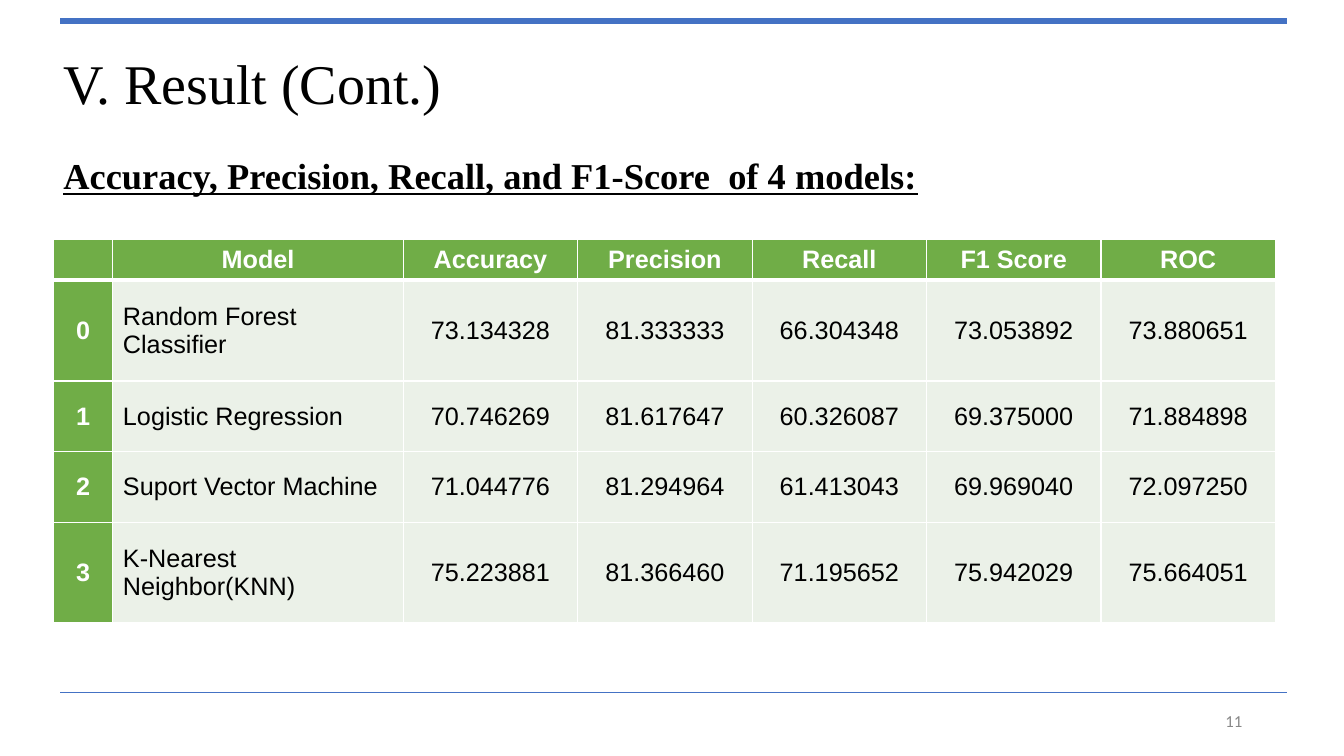
from dataclasses import dataclass

from lxml import etree
from pptx import Presentation
from pptx.dml.color import RGBColor
from pptx.enum.text import MSO_ANCHOR, PP_ALIGN
from pptx.oxml.ns import qn
from pptx.util import Inches, Pt

LEFT, MID, RIGHT = PP_ALIGN.LEFT, PP_ALIGN.CENTER, PP_ALIGN.RIGHT
TOP, CENTER, BOTTOM = MSO_ANCHOR.TOP, MSO_ANCHOR.MIDDLE, MSO_ANCHOR.BOTTOM


@dataclass(frozen=True)
class Theme:
    rule: str = "4472C4"
    head: str = "70AD47"
    body: str = "EBF1E8"
    ink: str = "000000"
    white: str = "FFFFFF"
    gray: str = "888888"
    serif: str = "Times New Roman"
    sans: str = "Arial"
    small: str = "Calibri"
    title: int = 40
    lead: int = 26
    cell: int = 18
    note: int = 12


THEME = Theme()

HEADS = ["", "Model", "Accuracy", "Precision", "Recall", "F1 Score", "ROC"]
MODELS = [
    ("Random Forest Classifier", 73.134328, 81.333333, 66.304348, 73.053892, 73.880651),
    ("Logistic Regression", 70.746269, 81.617647, 60.326087, 69.375, 71.884898),
    ("Suport Vector Machine", 71.044776, 81.294964, 61.413043, 69.96904, 72.09725),
    ("K-Nearest Neighbor(KNN)", 75.223881, 81.36646, 71.195652, 75.942029, 75.664051),
]
WIDTHS = [0.59, 2.88] + [1.73] * 5
HEIGHTS = [0.4, 1, 0.7, 0.7, 1]


def write(frame, text, color, align=LEFT, space=None, **form):
    """Fill a text frame with one formatted paragraph."""
    para = frame.paragraphs[0]
    para.alignment = align
    if space:
        para.line_spacing = space
    run = para.add_run()
    run.text = text
    run.font.color.rgb = RGBColor.from_string(color)
    for key, value in form.items():
        setattr(run.font, key, value)


def add_text(slide, box, text, color, anchor=TOP, **form):
    frame = slide.shapes.add_textbox(*map(Inches, box)).text_frame
    frame.word_wrap = True
    frame.vertical_anchor = anchor
    write(frame, text, color, **form)


def add_rules(slide, box):
    """Draw a thick rule on the top of the box and a thin one on its foot."""
    left, top, width, height = box
    for y, weight in ((top, 4.5), (top + height, 0.75)):
        ends = map(Inches, (left, y, left + width, y))
        line = slide.shapes.add_connector(1, *ends)
        line.line.color.rgb = RGBColor.from_string(THEME.rule)
        line.line.width = Pt(weight)
        etree.SubElement(line._element.spPr, qn("a:effectLst"))


def add_edges(cell, weights):
    """Give a cell white borders; weights are points by side."""
    props = cell._tc.get_or_add_tcPr()
    for side, weight in weights.items():
        edge = etree.SubElement(props, qn("a:ln" + side), w=str(Pt(weight)))
        fill = etree.SubElement(edge, qn("a:solidFill"))
        etree.SubElement(fill, qn("a:srgbClr"), val=THEME.white)


def add_scores(slide, box):
    rows = [HEADS]
    for i, (name, *scores) in enumerate(MODELS):
        rows.append([str(i), name] + [f"{score:.6f}" for score in scores])
    shape = slide.shapes.add_table(len(rows), len(HEADS), *map(Inches, box))
    table = shape.table
    for col, width in zip(table.columns, WIDTHS):
        col.width = Inches(width)
    for row, height in zip(table.rows, HEIGHTS):
        row.height = Inches(height)

    for r, row in enumerate(rows):
        for c, text in enumerate(row):
            cell = table.cell(r, c)
            head = r == 0 or c == 0
            add_edges(cell, {"L": 1, "R": 1, "T": 3 if r == 1 else 1,
                             "B": 3 if r == 0 else 1})
            cell.fill.solid()
            cell.fill.fore_color.rgb = RGBColor.from_string(
                THEME.head if head else THEME.body)
            cell.vertical_anchor = CENTER
            write(cell.text_frame, text, THEME.white if head else THEME.ink,
                  align=LEFT if c == 1 and not head else MID,
                  name=THEME.sans, size=Pt(THEME.cell), bold=head)


def add_result(slide, box):
    """Place the parts of the result slide inside the ruled box."""
    left, top, width, height = box
    edge = left - 0.07
    add_rules(slide, box)
    # Title and lead line
    add_text(slide, (edge, top + 0.29, 12.14, 0.7), "V. Result (Cont.)",
             THEME.ink, BOTTOM, space=1.25, name=THEME.serif,
             size=Pt(THEME.title))
    add_text(slide, (edge, top + 1.11, 12.45, 0.8),
             "Accuracy, Precision, Recall, and F1-Score  of 4 models:",
             THEME.ink, space=1.35, name=THEME.serif, size=Pt(THEME.lead),
             bold=True, underline=True)
    # Table of scores
    add_scores(slide, (edge, top + 2.17, sum(WIDTHS), sum(HEIGHTS)))
    # Page number
    add_text(slide, (left + width - 3.34, top + height + 0.08, 3, 0.4), "11",
             THEME.gray, CENTER, align=RIGHT, name=THEME.small,
             size=Pt(THEME.note))


def main():
    deck = Presentation()
    deck.slide_width, deck.slide_height = Inches(13.33), Inches(7.5)
    slide = deck.slides.add_slide(deck.slide_layouts[6])
    add_result(slide, (0.6, 0.21, 12.16, 6.66))
    deck.save("out.pptx")


if __name__ == "__main__":
    main()
